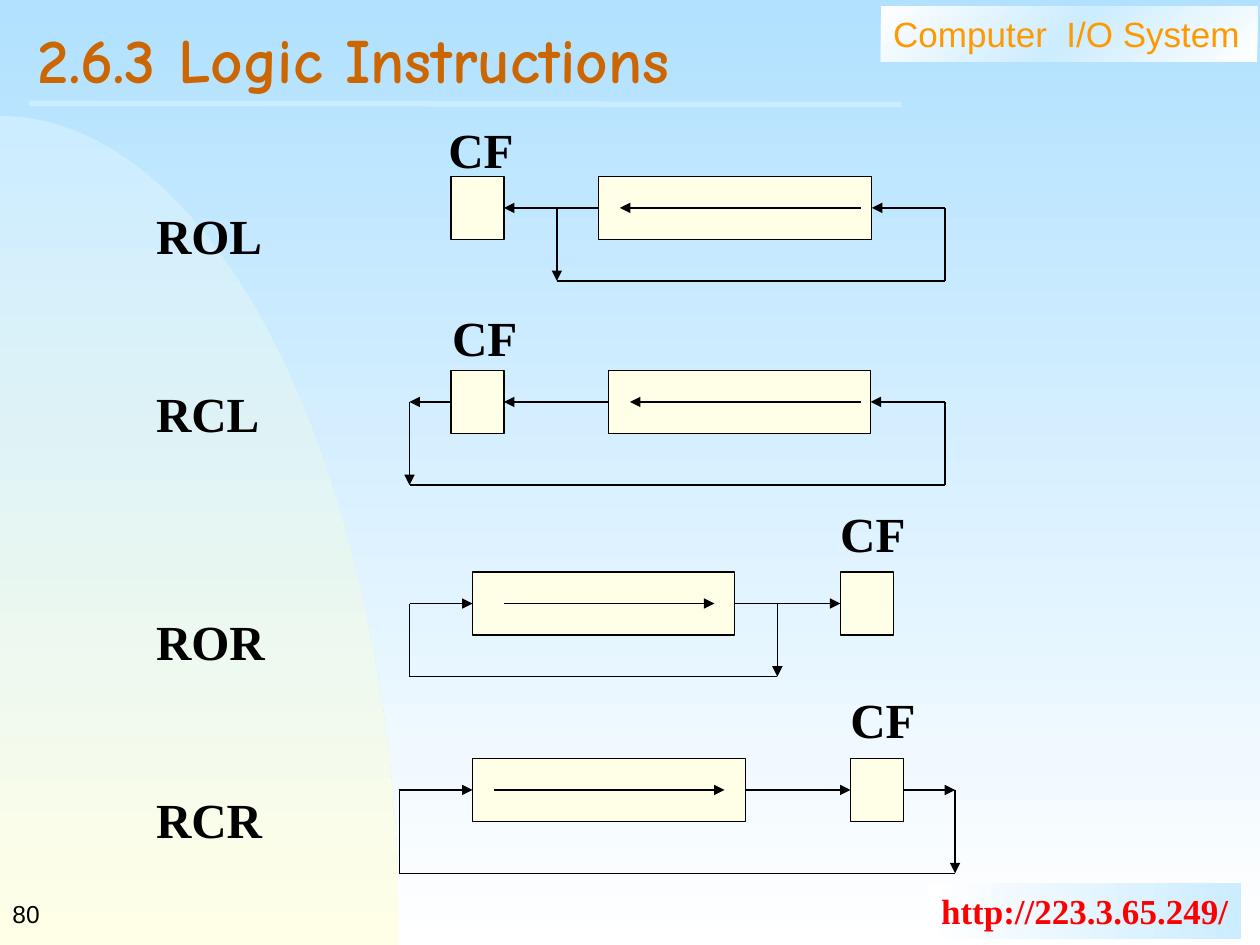
from dataclasses import dataclass

import pptx
import pptx.dml.color
import pptx.enum.shapes
import pptx.enum.text
import pptx.oxml
import pptx.oxml.ns
import pptx.util
from pptx.util import Inches

COLOURS = {
    "sky": "B1E1FF", "white": "FFFFFF", "pale": "CCECFF", "cream": "FFFFE7",
    "ink": "000000", "title": "CC6600", "course": "FF9900", "url": "FF0000",
}
SERIF, SANS, HAND = "Times New Roman", "Arial", "Comic Neue"
BOX_HEIGHT, CARRY_WIDTH = 0.5, 0.42


@dataclass
class Rotation:
    mnemonic: str
    gap_before: float  # points above the mnemonic
    top: float
    register_left: float
    register_width: float
    carry_left: float
    tap_x: float  # where the feedback path leaves
    entry_x: float  # where it turns back to the register
    return_y: float
    shift_from: float
    shift_to: float
    label_left: float
    label_top: float


ROTATIONS = [
    Rotation("ROL", 0, 1.4, 4.75, 2.17, 3.58, 4.42, 7.5, 2.23, 6.83, 4.92, 3.46, 0.9),
    Rotation("RCL", 68, 2.94, 4.83, 2.08, 3.58, 3.25, 7.5, 3.85, 6.83, 5, 3.49, 2.39),
    Rotation("ROR", 97, 4.54, 3.75, 2.08, 6.67, 6.17, 3.25, 5.37, 4, 5.67, 6.57, 3.95),
    Rotation("RCR", 68, 6.02, 3.75, 2.17, 6.75, 7.58, 3.17, 6.93, 3.92, 5.75, 6.65, 5.42),
]


def rgb(name: str) -> pptx.dml.color.RGBColor:
    return pptx.dml.color.RGBColor.from_string(COLOURS[name])


def set_gradient(fill, element, names: list[str], angle: int) -> None:
    """Spread the named colours evenly; angle runs counter-clockwise."""
    fill.gradient()
    fill.gradient_angle = angle
    stops = element.find(".//" + pptx.oxml.ns.qn("a:gsLst"))
    for stop in list(stops):
        stops.remove(stop)
    for index, name in enumerate(names):
        position = 100000 * index // (len(names) - 1)
        stops.append(pptx.oxml.parse_xml(
            f'<a:gs {pptx.oxml.ns.nsdecls("a")} pos="{position}">'
            f'<a:srgbClr val="{COLOURS[name]}"/></a:gs>'))


def style_text(frame, font: str, size: float, colour: str, bold: bool = False) -> None:
    for paragraph in frame.paragraphs:
        paragraph.alignment = pptx.enum.text.PP_ALIGN.LEFT
        for run in paragraph.runs:
            run.font.name, run.font.size = font, pptx.util.Pt(size)
            run.font.bold = bold
            run.font.color.rgb = rgb(colour)


def add_text(slide, text: str, left: float, top: float, width: float, height: float,
             font: str, size: float, colour: str, bold: bool = False, wrap: bool = False):
    box = slide.shapes.add_textbox(Inches(left), Inches(top), Inches(width), Inches(height))
    box.text_frame.text = text
    box.text_frame.word_wrap = wrap
    style_text(box.text_frame, font, size, colour, bold)
    return box


def add_line(slide, start: tuple[float, float], end: tuple[float, float],
             arrow: bool = False, colour: str = "ink", width: float = 0.75) -> None:
    line = slide.shapes.add_connector(
        pptx.enum.shapes.MSO_CONNECTOR.STRAIGHT, *map(Inches, start + end))
    line.line.color.rgb = rgb(colour)
    line.line.width = pptx.util.Pt(width)
    if arrow:
        line.line._get_or_add_ln().append(pptx.oxml.parse_xml(
            f'<a:tailEnd {pptx.oxml.ns.nsdecls("a")} type="triangle"/>'))
    line._element.spPr.append(pptx.oxml.parse_xml(
        f'<a:effectLst {pptx.oxml.ns.nsdecls("a")}/>'))


def add_box(slide, left: float, top: float, width: float) -> None:
    box = slide.shapes.add_shape(
        pptx.enum.shapes.MSO_SHAPE.RECTANGLE,
        Inches(left), Inches(top), Inches(width), Inches(BOX_HEIGHT))
    box.shadow.inherit = False
    box.fill.solid()
    box.fill.fore_color.rgb = rgb("cream")
    box.line.color.rgb = rgb("ink")
    box.line.width = pptx.util.Pt(0.75)


def add_arc(slide) -> None:
    """Curved panel along the left edge, traced from a cubic curve."""
    controls = [(0, 0.92), (1.75, 0.92), (3.17, 3.87), (3.17, 7.5)]
    steps = 60
    points = []
    for step in range(steps + 1):
        t = step / steps
        weights = ((1 - t) ** 3, 3 * t * (1 - t) ** 2, 3 * t * t * (1 - t), t ** 3)
        points.append(tuple(
            Inches(sum(w * c[axis] for w, c in zip(weights, controls))) for axis in (0, 1)))
    outline = slide.shapes.build_freeform(*points[0])
    outline.add_line_segments(points[1:] + [(0, Inches(7.5))], close=True)
    arc = outline.convert_to_shape()
    arc.shadow.inherit = False
    arc.line.fill.background()
    set_gradient(arc.fill, arc._element, ["pale", "cream"], 270)


def draw_rotation(slide, rotation: Rotation) -> None:
    r = rotation
    y = r.top + BOX_HEIGHT / 2
    register_right = r.register_left + r.register_width
    carry_right = r.carry_left + CARRY_WIDTH
    add_box(slide, r.register_left, r.top, r.register_width)
    add_box(slide, r.carry_left, r.top, CARRY_WIDTH)

    if r.carry_left < r.register_left:  # rotates left
        entry, leave = register_right, r.register_left
        carry_in, carry_out = carry_right, r.carry_left
        through_carry = r.tap_x < carry_out
    else:
        entry, leave = r.register_left, register_right
        carry_in, carry_out = r.carry_left, carry_right
        through_carry = r.tap_x > carry_out

    add_line(slide, (r.shift_from, y), (r.shift_to, y), arrow=True)
    add_line(slide, (leave, y), (carry_in, y), arrow=True)
    if through_carry:
        add_line(slide, (carry_out, y), (r.tap_x, y), arrow=True)
    # Feedback path
    add_line(slide, (r.tap_x, y), (r.tap_x, r.return_y), arrow=True)
    add_line(slide, (r.tap_x, r.return_y), (r.entry_x, r.return_y))
    add_line(slide, (r.entry_x, r.return_y), (r.entry_x, y))
    add_line(slide, (r.entry_x, y), (entry, y), arrow=True)
    add_text(slide, "CF", r.label_left, r.label_top, 0.72, 0.57, SERIF, 28, "ink", bold=True)


def main() -> None:
    deck = pptx.Presentation()
    deck.slide_width, deck.slide_height = Inches(10), Inches(7.5)
    slide = deck.slides.add_slide(deck.slide_layouts[5])

    # Background and frame
    set_gradient(slide.background.fill, slide._element, ["sky", "white"], 270)
    add_arc(slide)
    course = add_text(slide, "Computer  I/O System", 6.99, 0.05, 2.99, 0.44,
                      SANS, 20, "course", wrap=True)
    set_gradient(course.fill, course._element, ["white", "pale", "white"], 315)
    address = add_text(slide, "http://223.3.65.249/", 7.37, 7.01, 2.48, 0.44,
                       SERIF, 20, "url", bold=True)
    set_gradient(address.fill, address._element, ["white", "pale"], 0)
    add_line(slide, (0.23, 0.82), (7.15, 0.83), colour="pale", width=3)
    page = add_text(slide, "80", 0, 7, 2.08, 0.5, SANS, 14, "ink")
    page.text_frame.vertical_anchor = pptx.enum.text.MSO_ANCHOR.MIDDLE

    # Title
    title = slide.shapes.title
    title.left, title.top = Inches(0.2), Inches(0.15)
    title.width, title.height = Inches(9.55), Inches(0.77)
    title.text_frame.text = "2.6.3 Logic Instructions"
    title.text_frame.vertical_anchor = pptx.enum.text.MSO_ANCHOR.MIDDLE
    title.text_frame.paragraphs[0].line_spacing = 0.7
    style_text(title.text_frame, HAND, 36, "title", bold=True)

    # Mnemonics
    mnemonics = add_text(slide, "\n".join(r.mnemonic for r in ROTATIONS),
                         1.14, 1.58, 1.3, 5.17, SERIF, 28, "ink", bold=True, wrap=True)
    for paragraph, rotation in zip(mnemonics.text_frame.paragraphs, ROTATIONS):
        if rotation.gap_before:
            paragraph.space_before = pptx.util.Pt(rotation.gap_before)

    # Rotation diagrams
    for rotation in ROTATIONS:
        draw_rotation(slide, rotation)

    deck.save("out.pptx")


if __name__ == "__main__":
    main()
